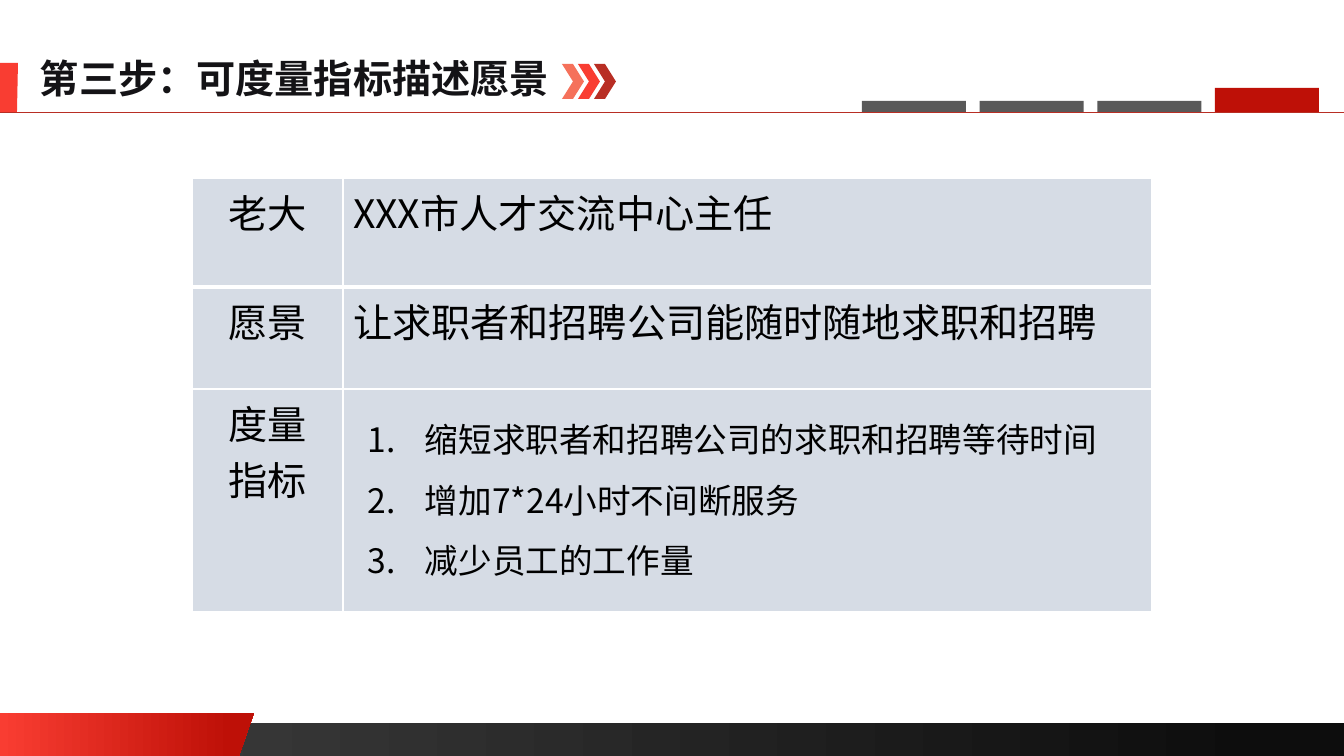
from lxml.etree import SubElement
from pptx import Presentation
from pptx.dml.color import RGBColor
from pptx.enum.shapes import MSO_CONNECTOR, MSO_SHAPE
from pptx.enum.text import MSO_AUTO_SIZE, PP_ALIGN
from pptx.oxml.ns import qn
from pptx.util import Emu, Pt

SCALE = 914400 / 100.8
FONT = "Noto Sans CJK SC"
COLORS = {
    "white": "FFFFFF", "black": "000000", "title": "141316",
    "cell": "D6DCE5", "gray": "595959", "charcoal": "404040",
    "ink": "0D0D0D", "salmon": "F5715B", "red": "F93D32",
    "brick": "B82E24", "crimson": "BE1007",
}
ROWS = [
    ("老大", "XXX市人才交流中心主任"),
    ("愿景", "让求职者和招聘公司能随时随地求职和招聘"),
    ("度量\v指标", ""),
]
METRICS = [
    "缩短求职者和招聘公司的求职和招聘等待时间",
    "增加7*24小时不间断服务",
    "减少员工的工作量",
]


def px(n):
    return Emu(round(n * SCALE))


def rgb(name):
    return RGBColor.from_string(COLORS[name])


def paint(sp, *names, end=100):
    sp.shadow.inherit = False
    sp.line.fill.background()
    if len(names) == 1:
        sp.fill.solid()
        sp.fill.fore_color.rgb = rgb(names[0])
        return
    sp.fill.gradient()
    sp.fill.gradient_angle = 0
    for stop, name, position in zip(sp.fill.gradient_stops, names, (0, end / 100)):
        stop.color.rgb = rgb(name)
        stop.position = position


def add_block(s, kind, x, y, w, h, *names, end=100):
    sp = s.shapes.add_shape(kind, px(x), px(y), px(w), px(h))
    paint(sp, *names, end=end)


def add_polygon(s, points, *names, end=100):
    builder = s.shapes.build_freeform(*points[0], scale=SCALE)
    builder.add_line_segments(points[1:], close=True)
    paint(builder.convert_to_shape(), *names, end=end)


def add_rule(s, y, width, name, weight):
    line = s.shapes.add_connector(MSO_CONNECTOR.STRAIGHT, 0, px(y), px(width), px(y))
    line.line.color.rgb = rgb(name)
    line.line.width = Pt(weight)
    SubElement(line._element.spPr, qn("a:effectLst"))


def style_text(p, size, name, bold=False):
    for r in p.runs:
        r.font.size = Pt(size)
        r.font.name = FONT
        r.font.bold = bold
        r.font.color.rgb = rgb(name)
        SubElement(r._r.get_or_add_rPr(), qn("a:ea"), typeface=FONT)


def add_text(s, x, y, w, h, text, wrap):
    tf = s.shapes.add_textbox(px(x), px(y), px(w), px(h)).text_frame
    tf.word_wrap = wrap
    tf.auto_size = MSO_AUTO_SIZE.SHAPE_TO_FIT_TEXT
    tf.text = text
    return tf


def add_title(s, text):
    tf = add_text(s, 30, 49, 535, 58, text, False)
    style_text(tf.paragraphs[0], 28, "title", True)


def add_numbered_list(s, items):
    tf = add_text(s, 358, 394, 768, 194, "\n".join(items), True)
    indent = px(57)
    for p in tf.paragraphs:
        p.line_spacing = 1.5
        pPr = p._p.get_or_add_pPr()
        pPr.set("marL", str(indent))
        pPr.set("indent", str(-indent))
        SubElement(pPr, qn("a:buFont"), typeface="+mj-lt")
        SubElement(pPr, qn("a:buAutoNum"), type="arabicPeriod")
        style_text(p, 24, "black")


def add_border(cell, side, weight):
    ln = SubElement(cell._tc.get_or_add_tcPr(), qn(f"a:ln{side}"), w=str(Pt(weight)))
    fill = SubElement(ln, qn("a:solidFill"))
    SubElement(fill, qn("a:srgbClr"), val=COLORS["white"])


def add_vision_table(s, x, y, widths, heights):
    frame = s.shapes.add_table(len(heights), len(widths), px(x), px(y),
                               px(sum(widths)), px(sum(heights)))
    table = frame.table
    for column, width in zip(table.columns, widths):
        column.width = px(width)
    for i, (height, texts) in enumerate(zip(heights, ROWS)):
        table.rows[i].height = px(height)
        for j, text in enumerate(texts):
            cell = table.cell(i, j)
            cell.text = text
            p = cell.text_frame.paragraphs[0]
            p.alignment = PP_ALIGN.LEFT if j else PP_ALIGN.CENTER
            style_text(p, 28, "black")
            weights = {"L": 1, "R": 1, "T": 3 if i == 1 else 1, "B": 1 if i else 3}
            for side, weight in weights.items():
                add_border(cell, side, weight)
            cell.fill.solid()
            cell.fill.fore_color.rgb = rgb("cell")


def main():
    prs = Presentation()
    prs.slide_width, prs.slide_height = px(1344), px(756)
    s = prs.slides.add_slide(prs.slide_layouts[6])

    add_block(s, MSO_SHAPE.RECTANGLE, 0, 723, 1344, 33, "charcoal", "ink", end=94)
    add_polygon(s, [(0, 713), (254, 713), (239, 756), (0, 756)],
                "red", "crimson", end=91)
    add_polygon(s, [(0, 63), (18, 63), (17, 113), (0, 113)], "red")

    add_vision_table(s, 192, 178, (151, 809), (109, 102, 223))
    add_title(s, "第三步：可度量指标描述愿景")
    add_rule(s, 112, 1344, "brick", 0.5)

    for i, name in enumerate(("salmon", "red", "brick")):
        add_block(s, MSO_SHAPE.CHEVRON, 562 + 16 * i, 64, 22, 35, name)
    for i in range(4):
        top, name = (88, "crimson") if i == 3 else (101, "gray")
        add_block(s, MSO_SHAPE.RECTANGLE, 862 + 353 * i / 3, top, 104, 112 - top, name)

    add_numbered_list(s, METRICS)
    prs.save("out.pptx")


if __name__ == "__main__":
    main()
